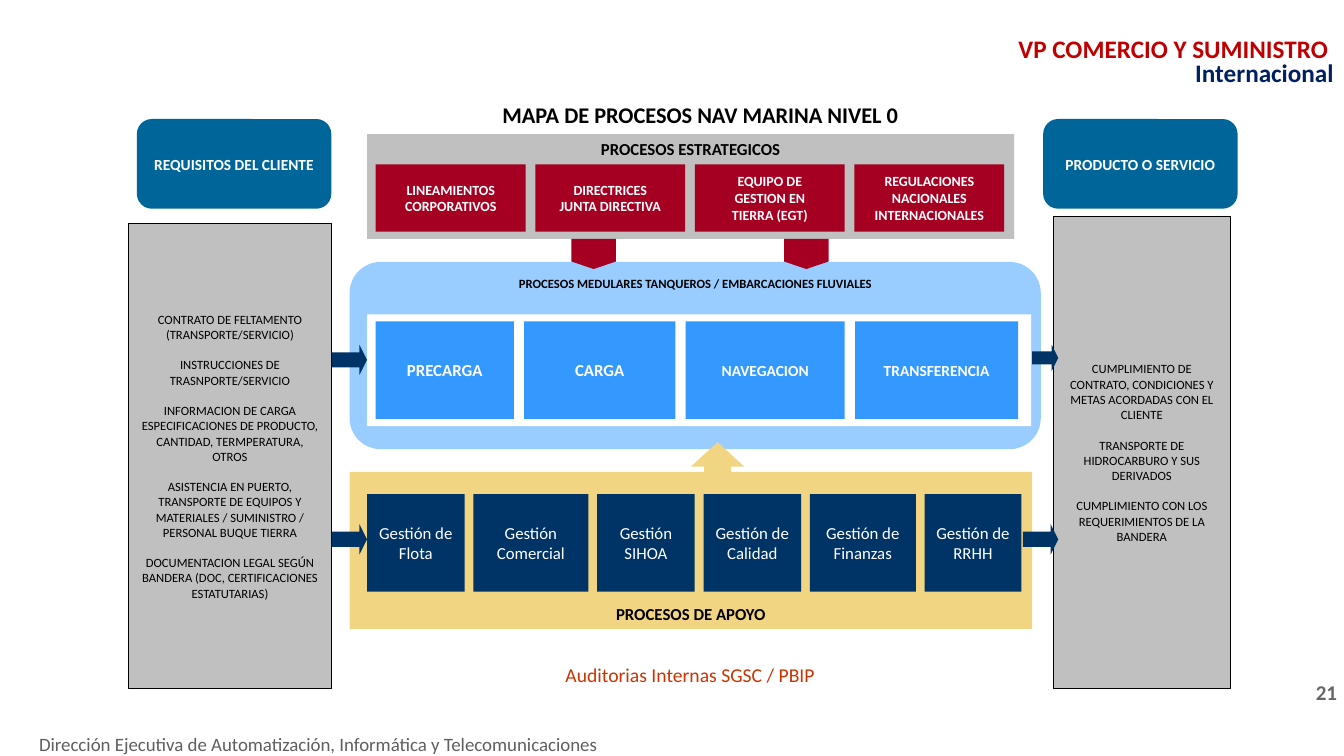
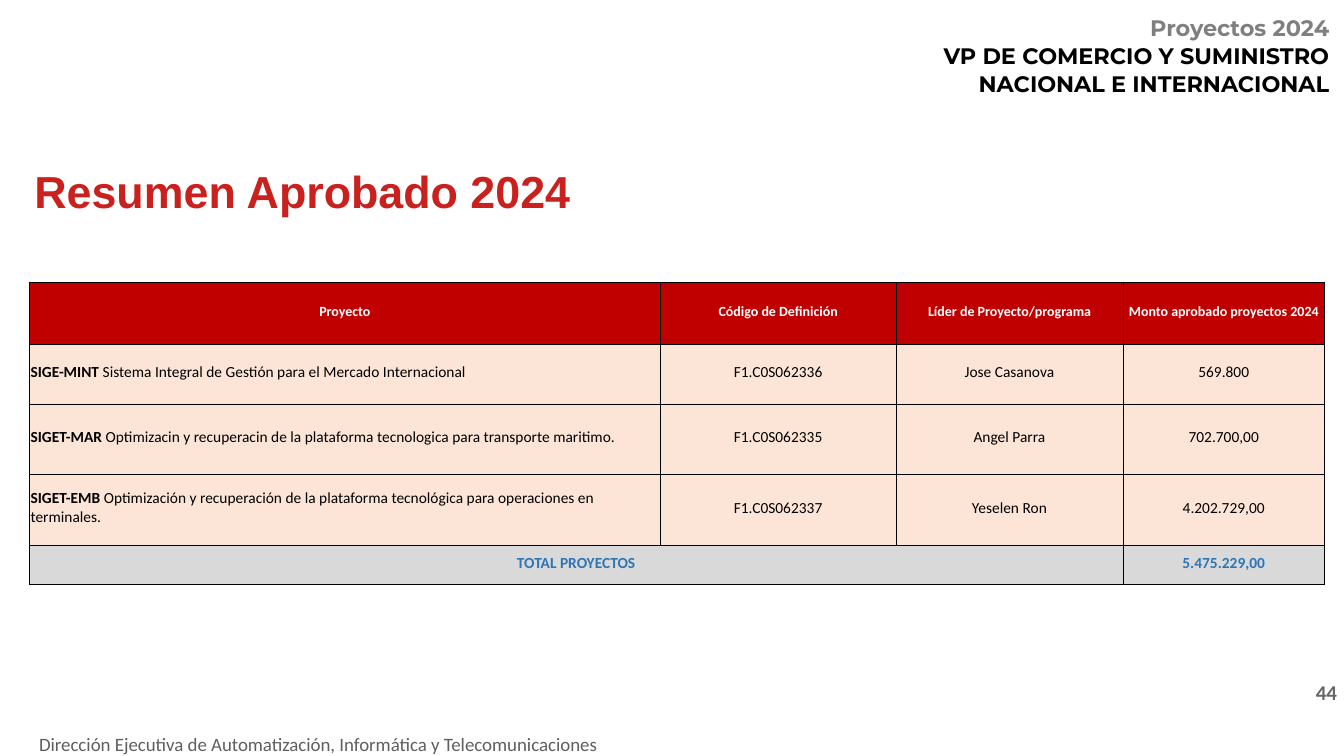
"""Build a process map slide and an approved projects summary slide."""
import dataclasses
import typing

import lxml.etree
import pptx
import pptx.dml.color
import pptx.enum.shapes
import pptx.enum.text
import pptx.oxml.ns
import pptx.util

Cm = pptx.util.Cm
Pt = pptx.util.Pt
Kind = pptx.enum.shapes.MSO_SHAPE
Align = pptx.enum.text.PP_ALIGN
Anchor = pptx.enum.text.MSO_ANCHOR

COLORS = {
    "white": "FFFFFF", "black": "000000", "footer": "5F5F5F", "number": "666666",
    "red": "C00000", "navy": "002060", "support": "003366", "teal": "006699",
    "panel": "C0C0C0", "strategy": "A50021", "core": "99CCFF", "stage": "3399FF",
    "sand": "F2D582", "audit": "CC3300", "muted": "7F7F7F", "summary": "C9211E",
    "peach": "FCE4D6", "total": "D9D9D9", "total_text": "2F75B5",
}


@dataclasses.dataclass(frozen=True)
class Style:
    size: float
    color: str = "black"
    bold: bool = False
    font: str = "Calibri"


@dataclasses.dataclass(frozen=True)
class Line:
    runs: tuple[tuple[str, Style], ...]
    before: float = 0
    after: float = 0


@dataclasses.dataclass(frozen=True)
class Area:
    left: float
    top: float
    width: float
    height: float

    def lengths(self) -> list[int]:
        return [Cm(value) for value in (self.left, self.top, self.width, self.height)]


@dataclasses.dataclass(frozen=True)
class Block:
    area: Area
    fill: str
    lines: tuple[Line, ...] = ()
    kind: typing.Any = Kind.RECTANGLE
    anchor: typing.Any = Anchor.MIDDLE
    outline: bool = False
    adjustments: tuple[float, ...] = ()
    rotation: float = 0


def rgb(name: str) -> pptx.dml.color.RGBColor:
    return pptx.dml.color.RGBColor.from_string(COLORS[name])


def lines(style: Style, *groups: str, gap: float = 0) -> tuple[Line, ...]:
    return tuple(
        Line(((text, style),), gap if group_index and not text_index else 0)
        for group_index, group in enumerate(groups)
        for text_index, text in enumerate(group.split("\n"))
    )


def write(frame: typing.Any, content: typing.Sequence[Line], align: typing.Any = Align.CENTER,
          spacing: float = 1.0) -> None:
    for index, line in enumerate(content):
        paragraph = frame.paragraphs[0] if index == 0 else frame.add_paragraph()
        paragraph.alignment = align
        paragraph.line_spacing = spacing
        paragraph.space_before = Pt(line.before)
        paragraph.space_after = Pt(line.after)
        for text, style in line.runs:
            run = paragraph.add_run()
            run.text = text
            run.font.name = style.font
            run.font.size = Pt(style.size)
            run.font.bold = style.bold
            run.font.color.rgb = rgb(style.color)


def add_label(slide: typing.Any, area: Area, content: typing.Sequence[Line],
              align: typing.Any = Align.CENTER, anchor: typing.Any = Anchor.TOP,
              spacing: float = 1.0, inset: float = 0.25) -> None:
    frame = slide.shapes.add_textbox(*area.lengths()).text_frame
    frame.word_wrap = True
    frame.vertical_anchor = anchor
    frame.margin_left = frame.margin_right = Cm(inset)
    write(frame, content, align, spacing)


def set_title(slide: typing.Any, area: Area, text: str, style: Style,
              align: typing.Any, anchor: typing.Any) -> None:
    title = slide.shapes.title
    title.left, title.top, title.width, title.height = area.lengths()
    frame = title.text_frame
    frame.word_wrap = True
    frame.auto_size = pptx.enum.text.MSO_AUTO_SIZE.NONE
    frame.vertical_anchor = anchor
    write(frame, lines(style, text), align)


def add_block(slide: typing.Any, block: Block) -> None:
    shape = slide.shapes.add_shape(block.kind, *block.area.lengths())
    shape.shadow.inherit = False
    shape.rotation = block.rotation
    for index, value in enumerate(block.adjustments):
        shape.adjustments[index] = value
    shape.fill.solid()
    shape.fill.fore_color.rgb = rgb(block.fill)
    if block.outline:
        shape.line.color.rgb = rgb("black")
        shape.line.width = Pt(0.75)
    else:
        shape.line.fill.background()
    if block.lines:
        shape.text_frame.word_wrap = True
        shape.text_frame.vertical_anchor = block.anchor
        write(shape.text_frame, block.lines)


def add_row(slide: typing.Any, start: Area, gap: float, fill: str,
            items: typing.Sequence[tuple[str, float, Style]]) -> None:
    left = start.left
    for text, width, style in items:
        area = Area(left, start.top, width, start.height)
        add_block(slide, Block(area, fill, lines(style, text)))
        left += width + gap


def new_slide(deck: typing.Any, number: str) -> typing.Any:
    slide = deck.slides.add_slide(deck.slide_layouts[5])
    add_label(slide, Area(0.41, 18.33, 15.21, 0.71), lines(
        Style(13.5, "footer"),
        "Dirección Ejecutiva de Automatización, Informática y Telecomunicaciones"))
    add_label(slide, Area(33, 17, 0.86, 0.81),
              lines(Style(15, "number", True), number), inset=0)
    return slide


def build_process_map(deck: typing.Any) -> None:
    slide = new_slide(deck, "21")
    add_label(slide, Area(17.9, 0.86, 15.96, 1.47), (
        *lines(Style(18, "red", True), "VP COMERCIO Y SUMINISTRO "),
        *lines(Style(18, "navy", True), "Internacional"),
    ), Align.RIGHT, spacing=0.8)
    set_title(slide, Area(9, 2.41, 17.3, 0.94), "MAPA DE PROCESOS NAV MARINA NIVEL 0",
              Style(16, bold=True), Align.CENTER, Anchor.TOP)

    heading = Style(11, "white", True)
    band = Style(12, bold=True)
    detail = Style(9)
    client_needs = lines(
        detail,
        "CONTRATO DE FELTAMENTO\n(TRANSPORTE/SERVICIO)",
        "INSTRUCCIONES DE TRASNPORTE/SERVICIO",
        "INFORMACION DE CARGA\nESPECIFICACIONES DE PRODUCTO, CANTIDAD, TERMPERATURA, OTROS",
        "ASISTENCIA EN PUERTO, TRANSPORTE DE EQUIPOS Y MATERIALES / SUMINISTRO / "
        "PERSONAL BUQUE TIERRA",
        "DOCUMENTACION LEGAL SEGÚN BANDERA (DOC, CERTIFICACIONES ESTATUTARIAS)",
        gap=11)
    outcomes = lines(
        detail,
        "CUMPLIMIENTO DE CONTRATO, CONDICIONES Y METAS ACORDADAS CON EL CLIENTE",
        "TRANSPORTE DE HIDROCARBURO Y SUS DERIVADOS",
        "CUMPLIMIENTO CON LOS REQUERIMIENTOS DE LA BANDERA",
        gap=11)
    for block in (
        Block(Area(8.81, 6.6, 17.42, 4.72), "core",
              lines(Style(9, bold=True),
                    "PROCESOS MEDULARES TANQUEROS / EMBARCACIONES FLUVIALES"),
              Kind.ROUNDED_RECTANGLE, Anchor.TOP),
        Block(Area(17.41, 11.14, 1.35, 2.08), "sand", kind=Kind.UP_ARROW,
              adjustments=(0.5, 0.46)),
        Block(Area(3.45, 3, 4.9, 2.26), "teal", lines(heading, "REQUISITOS DEL CLIENTE"),
              Kind.ROUNDED_RECTANGLE),
        Block(Area(26.29, 3, 4.9, 2.26), "teal", lines(heading, "PRODUCTO O SERVICIO"),
              Kind.ROUNDED_RECTANGLE),
        Block(Area(9.25, 3.38, 16.31, 2.64), "panel", lines(band, "PROCESOS ESTRATEGICOS"),
              anchor=Anchor.TOP),
        Block(Area(9.25, 7.92, 16.74, 2.82), "white"),
        Block(Area(3.23, 5.64, 5.13, 11.71), "panel", client_needs, outline=True),
        Block(Area(26.54, 5.46, 4.47, 11.89), "panel", outcomes, outline=True),
        Block(Area(8.81, 11.89, 17.2, 3.96), "sand", lines(band, "PROCESOS DE APOYO"),
              anchor=Anchor.BOTTOM),
    ):
        add_block(slide, block)

    guideline = Style(10, "white", True)
    add_row(slide, Area(9.47, 4.14, 0, 1.7), 0.24, "strategy", [
        (text, 3.78, guideline) for text in (
            "LINEAMIENTOS\nCORPORATIVOS", "DIRECTRICES\nJUNTA DIRECTIVA",
            "EQUIPO DE\nGESTION EN\nTIERRA (EGT)",
            "REGULACIONES\nNACIONALES\nINTERNACIONALES")])
    stage = Style(12, "white", True)
    add_row(slide, Area(9.47, 8.1, 0, 2.46), 0.26, "stage", [
        ("PRECARGA", 3.48, stage), ("CARGA", 3.81, stage),
        ("NAVEGACION", 4.01, heading), ("TRANSFERENCIA", 4.11, heading)])
    support = Style(12, "white")
    add_row(slide, Area(9.25, 12.45, 0, 2.46), 0.22, "support", [
        (f"Gestión {name}", width, support) for name, width in (
            ("de Flota", 2.46), ("Comercial", 2.9), ("SIHOA", 2.46),
            ("de Calidad", 2.46), ("de Finanzas", 2.67), ("de RRHH", 2.44))])

    add_label(slide, Area(9.47, 16.43, 15.85, 1.12),
              lines(Style(14, "audit"), "Auditorias Internas SGSC / PBIP"),
              anchor=Anchor.MIDDLE)
    for left in (14.58, 19.94):
        add_block(slide, Block(Area(left, 5.84, 0.76, 1.12), "strategy",
                               kind=Kind.PENTAGON, adjustments=(0.25,), rotation=90))
    for area in (Area(8.36, 13.21, 0.89, 0.76), Area(8.36, 8.69, 0.89, 0.76),
                 Area(26.01, 8.69, 0.66, 0.66), Area(25.78, 13.21, 0.89, 0.76)):
        add_block(slide, Block(area, "support", kind=Kind.RIGHT_ARROW,
                               adjustments=(0.5, 0.25)))


def format_cell(cell: typing.Any, fill: str, runs: tuple[tuple[str, Style], ...],
                align: typing.Any) -> None:
    qn = pptx.oxml.ns.qn
    properties = cell._tc.get_or_add_tcPr()
    for side in ("lnL", "lnR", "lnT", "lnB"):
        border = lxml.etree.SubElement(properties, qn(f"a:{side}"), w=str(int(Pt(0.5))))
        paint = lxml.etree.SubElement(border, qn("a:solidFill"))
        lxml.etree.SubElement(paint, qn("a:srgbClr"), val=COLORS["black"])
    cell.fill.solid()
    cell.fill.fore_color.rgb = rgb(fill)
    cell.vertical_anchor = Anchor.MIDDLE
    cell.margin_left = cell.margin_right = cell.margin_top = Cm(0.03)
    cell.margin_bottom = Cm(0.13)
    write(cell.text_frame, [Line(runs)] if runs else [], align)


def build_summary(deck: typing.Any) -> None:
    slide = new_slide(deck, "44")
    header = (("Proyectos 2024", "muted"), ("VP DE COMERCIO Y SUMINISTRO", "black"),
              ("NACIONAL E INTERNACIONAL", "black"))
    add_label(slide, Area(6.22, 0.23, 27.53, 2.34), [
        Line(((text, Style(16, color, True, "Montserrat")),), 0.5 if index else 0, 0.5)
        for index, (text, color) in enumerate(header)
    ], Align.RIGHT, Anchor.MIDDLE)
    set_title(slide, Area(0.61, 3.99, 27.53, 1.63), "Resumen Aprobado 2024",
              Style(32, "summary", True, "Arial"), Align.LEFT, Anchor.MIDDLE)

    column_style = Style(10, "white", True)
    name_style, plain = Style(11, bold=True), Style(11)
    total_style = Style(11, "total_text", True)
    columns = ("Proyecto", "Código de Definición", "Líder de Proyecto/programa",
               "Monto aprobado proyectos 2024")
    projects = (
        ("SIGE-MINT", "Sistema Integral de Gestión para el Mercado Internacional",
         "F1.C0S062336", "Jose Casanova", "569.800"),
        ("SIGET-MAR", "Optimizacin y recuperacin de la plataforma tecnologica para "
         "transporte maritimo.", "F1.C0S062335", "Angel Parra", "702.700,00"),
        ("SIGET-EMB", "Optimización y recuperación de la plataforma tecnológica para "
         "operaciones en terminales.", "F1.C0S062337", "Yeselen Ron", "4.202.729,00"),
    )
    rows = [("red", [((text, column_style),) for text in columns])]
    for name, purpose, *details in projects:
        rows.append(("peach", [((f"{name} ", name_style), (purpose, plain)),
                               *(((text, plain),) for text in details)]))
    rows.append(("total", [(("TOTAL PROYECTOS", total_style),), (), (),
                           (("5.475.229,00", total_style),)]))

    widths, heights = (15.9, 5.94, 5.72, 5.08), (1.57, 1.5, 1.78, 1.78, 0.99)
    area = Area(0.74, 7.11, sum(widths), sum(heights))
    budget = slide.shapes.add_table(len(heights), len(widths), *area.lengths()).table
    for column, width in zip(budget.columns, widths):
        column.width = Cm(width)
    for row, height in zip(budget.rows, heights):
        row.height = Cm(height)
    for row_index, (fill, contents) in enumerate(rows):
        for column_index, runs in enumerate(contents):
            align = Align.LEFT if fill == "peach" and column_index == 0 else Align.CENTER
            format_cell(budget.cell(row_index, column_index), fill, runs, align)
    budget.cell(4, 0).merge(budget.cell(4, 2))


def main() -> None:
    deck = pptx.Presentation()
    deck.slide_width, deck.slide_height = Cm(33.87), Cm(19.05)
    build_process_map(deck)
    build_summary(deck)
    deck.save("out.pptx")


if __name__ == "__main__":
    main()
